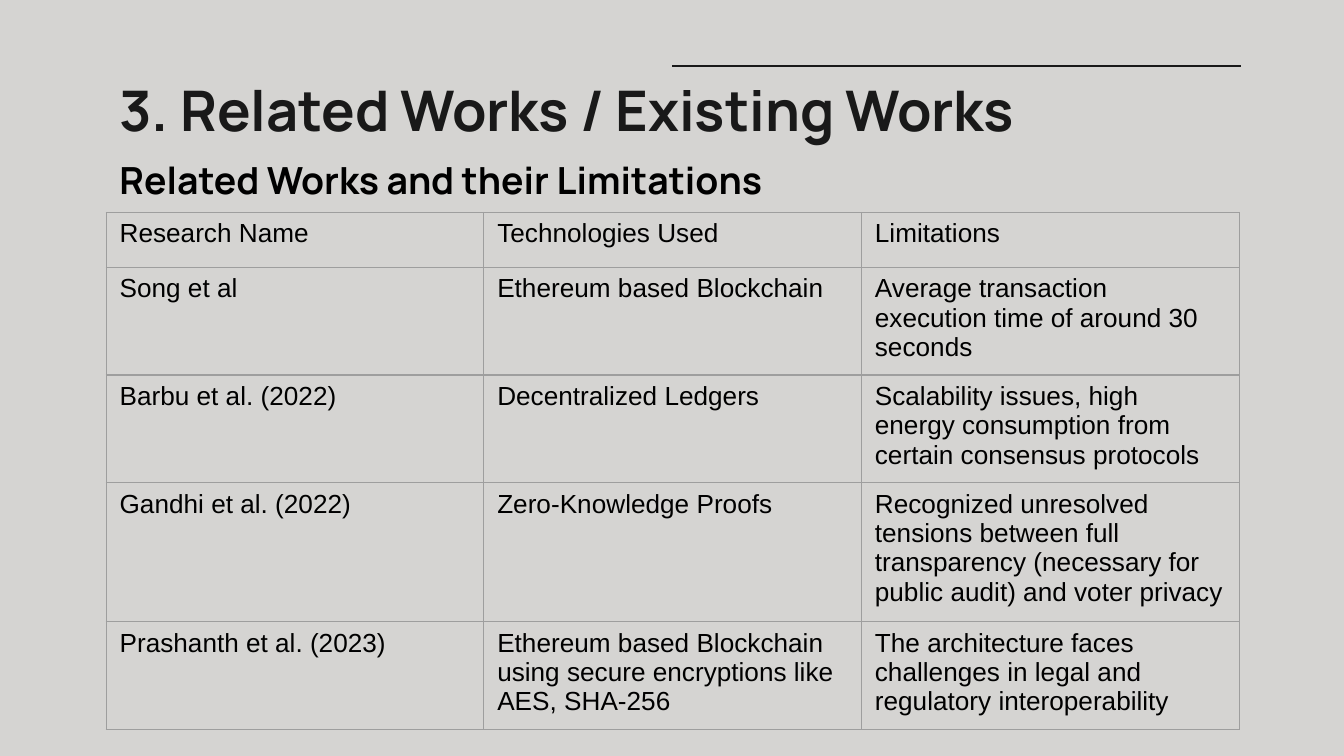
from typing import NamedTuple

from lxml.etree import SubElement
from pptx import Presentation
from pptx.dml.color import RGBColor
from pptx.enum.shapes import MSO_CONNECTOR
from pptx.oxml.ns import qn
from pptx.util import Inches, Pt

COLORS = {
    "background": "D5D4D2",
    "ink": "191919",
    "text": "000000",
    "border": "9E9E9E",
}
PAGE_WIDTH = 10
PAGE_HEIGHT = PAGE_WIDTH * 9 / 16
LEFT, CONTENT_WIDTH = 0.79, 8.43
ROW_HEIGHT, TABLE_HEIGHT = 0.41, 3.61


class Heading(NamedTuple):
    text: str
    top: float
    width: float
    height: float
    inset: float
    size: int
    color: str


class Work(NamedTuple):
    name: str
    technologies: str
    limitations: str


HEADINGS = [
    Heading("3. Related Works / Existing Works", 0.49, CONTENT_WIDTH, 0.63, 0.07, 30, "ink"),
    Heading("Related Works and their Limitations", 1.11, 6.71, 0.44, 0.06, 20, "text"),
]
WORKS = [
    Work("Research Name", "Technologies Used", "Limitations"),
    Work("Song et al", "Ethereum based Blockchain",
         "Average transaction execution time of around 30 seconds"),
    Work("Barbu et al. (2022)", "Decentralized Ledgers",
         "Scalability issues, high energy consumption from certain consensus protocols"),
    Work("Gandhi et al. (2022)", "Zero-Knowledge Proofs",
         "Recognized unresolved tensions between full transparency "
         "(necessary for public audit) and voter privacy"),
    Work("Prashanth et al. (2023)",
         "Ethereum based Blockchain using secure encryptions like AES, SHA-256",
         "The architecture faces challenges in legal and regulatory interoperability"),
]


def rgb(name: str) -> RGBColor:
    return RGBColor.from_string(COLORS[name])


def write_text(frame, text: str, *, font: str, size: int, color: str, bold: bool = False) -> None:
    span = frame.paragraphs[0].add_run()
    span.text = text
    span.font.name = font
    span.font.size = Pt(size)
    span.font.bold = bold
    span.font.color.rgb = rgb(color)


def add_heading(page, heading: Heading) -> None:
    box = page.shapes.add_textbox(
        Inches(LEFT), Inches(heading.top), Inches(heading.width), Inches(heading.height)
    )
    frame = box.text_frame
    frame.word_wrap = True
    frame.margin_top = Inches(heading.inset)
    write_text(frame, heading.text, font="Manrope", size=heading.size, color=heading.color, bold=True)


def add_rule(page) -> None:
    """Draw the thin line above the title."""
    rule = page.shapes.add_connector(
        MSO_CONNECTOR.STRAIGHT, Inches(5), Inches(0.49), Inches(9.23), Inches(0.49)
    )
    rule.line.color.rgb = rgb("ink")
    rule.line.width = Pt(0.75)
    SubElement(rule._element.spPr, qn("a:effectLst"))


def set_borders(cell) -> None:
    properties = cell._tc.get_or_add_tcPr()
    for position, side in enumerate(("a:lnL", "a:lnR", "a:lnT", "a:lnB")):
        line = properties.makeelement(qn(side), {"w": str(Pt(0.75))})
        fill = SubElement(line, qn("a:solidFill"))
        SubElement(fill, qn("a:srgbClr"), val=COLORS["border"])
        properties.insert(position, line)


def add_works_table(page, works: list[Work]) -> None:
    column_count = len(Work._fields)
    table = page.shapes.add_table(
        len(works), column_count,
        Inches(LEFT), Inches(1.58), Inches(CONTENT_WIDTH), Inches(TABLE_HEIGHT),
    ).table
    table.first_row = False
    table.horz_banding = False
    for column in table.columns:
        column.width = Inches(CONTENT_WIDTH / column_count)
    for row, work in zip(table.rows, works):
        row.height = Inches(ROW_HEIGHT)
        for cell, text in zip(row.cells, work):
            cell.fill.background()
            set_borders(cell)
            write_text(cell.text_frame, text, font="Arial", size=14, color="text")


def main() -> None:
    deck = Presentation()
    deck.slide_width, deck.slide_height = Inches(PAGE_WIDTH), Inches(PAGE_HEIGHT)
    page = deck.slides.add_slide(deck.slide_layouts[6])
    page.background.fill.solid()
    page.background.fill.fore_color.rgb = rgb("background")
    add_rule(page)
    for heading in HEADINGS:
        add_heading(page, heading)
    add_works_table(page, WORKS)
    deck.save("out.pptx")


if __name__ == "__main__":
    main()
